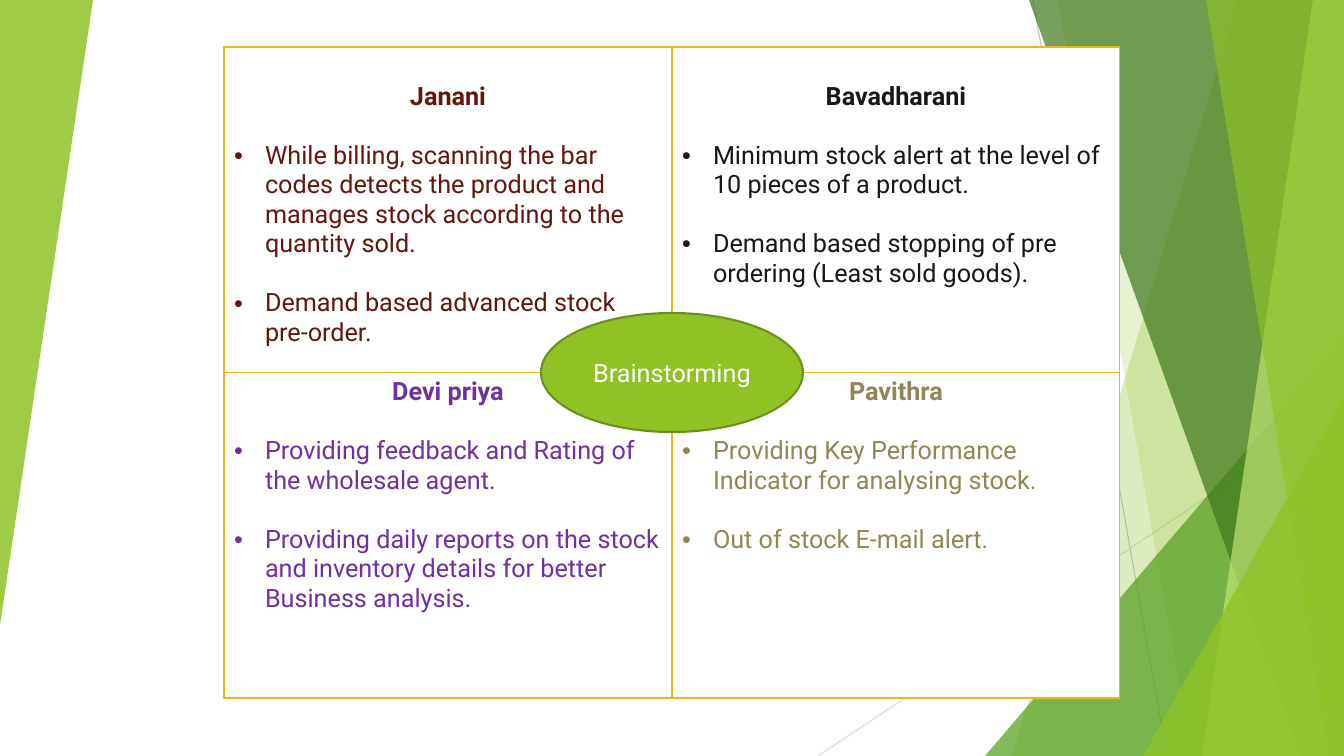
from lxml.etree import SubElement
from pptx import Presentation
from pptx.dml.color import RGBColor
from pptx.enum.shapes import MSO_CONNECTOR, MSO_SHAPE
from pptx.enum.text import MSO_ANCHOR, PP_ALIGN
from pptx.oxml.ns import qn
from pptx.util import Pt

SCALE = 914400 / 100.8  # EMU per pixel
WIDTH, HEIGHT = 1344, 756
COLORS = {
    "green": "90C226", "leaf": "54A021", "forest": "3F7819", "lime": "C0E474",
    "outline": "6B901C", "gold": "E6B91E", "gray": "BFBFBF", "light gray": "D9D9D9",
    "white": "FFFFFF", "maroon": "62170D", "black": "181818",
    "purple": "7030A0", "olive": "918655",
}


def px(*values):
    lengths = [round(value * SCALE) for value in values]
    return lengths if len(lengths) > 1 else lengths[0]


def add_text(paragraph, text, color, bold=False):
    run = paragraph.add_run()
    run.text = text
    for name, value in {"name": "Roboto", "size": Pt(18), "bold": bold}.items():
        setattr(run.font, name, value)
    run.font.color.rgb = RGBColor.from_string(COLORS[color])


presentation = Presentation()
presentation.slide_width, presentation.slide_height = px(WIDTH, HEIGHT)
slide = presentation.slides.add_slide(presentation.slide_layouts[6])
shapes = slide.shapes

# Thin background lines
for ends, color in [((1033, 0, 1167, 756), "gray"), ((1344, 406, 818, 756), "light gray")]:
    line = shapes.add_connector(MSO_CONNECTOR.STRAIGHT, *px(*ends))
    line.line.color.rgb = RGBColor.from_string(COLORS[color])
    line.line.width = Pt(0.75)
    SubElement(line._element.spPr, qn("a:effectLst"))

# Translucent facets: slanted panels (top x, bottom x) and triangles (box, rotation)
facets = [
    ("panel", (1238, 1012), "green", 30),
    ("panel", (1058, 1192), "green", 20),
    ("triangle", (985, 336, 359, 420, 0), "leaf", 72),
    ("panel", (1029, 1301), "forest", 70),
    ("panel", (1313, 1202), "lime", 70),
    ("panel", (1206, 1329), "green", 65),
    ("triangle", (1143, 396, 201, 360, 0), "green", 80),
    ("triangle", (0, 0, 93, 625, 180), "green", 85),
]
for kind, geometry, color, opacity in facets:
    if kind == "panel":
        top, bottom = geometry
        builder = shapes.build_freeform(top, 0, SCALE)
        builder.add_line_segments([(WIDTH, 0), (WIDTH, HEIGHT), (bottom, HEIGHT)])
        facet = builder.convert_to_shape()
    else:
        *box, rotation = geometry
        facet = shapes.add_shape(MSO_SHAPE.ISOSCELES_TRIANGLE, *px(*box))
        facet.adjustments[0] = 1
        facet.rotation = rotation
    facet.shadow.inherit = False
    facet.line.fill.background()
    facet.fill.solid()
    facet.fill.fore_color.rgb = RGBColor.from_string(COLORS[color])
    fill_color = facet._element.spPr.find(qn("a:solidFill"))[0]
    SubElement(fill_color, qn("a:alpha"), val=str(opacity * 1000))

# Idea table: one quadrant per person
quadrants = [
    [("Janani", "maroon",
      ["While billing, scanning the bar codes detects the product and manages stock "
       "according to the quantity sold.",
       "Demand based advanced stock pre-order."]),
     ("Bavadharani", "black",
      ["Minimum stock alert at the level of 10 pieces of a product.",
       "Demand based stopping of pre ordering (Least sold goods)."])],
    [("Devi priya", "purple",
      ["Providing feedback and Rating of the wholesale agent.",
       "Providing daily reports on the stock and inventory details for better "
       "Business analysis."]),
     ("Pavithra", "olive",
      ["Providing Key Performance Indicator for analysing stock.",
       "Out of stock E-mail alert."])],
]
table = shapes.add_table(2, 2, *px(224, 47, 896, 651)).table
table.first_row = table.horz_banding = False
for row, margin_top, people in zip(table.rows, (35, 5), quadrants):
    row.height = px(325.5)
    for cell, (person, color, ideas) in zip(row.cells, people):
        properties = cell._tc.get_or_add_tcPr()
        for side in ("a:lnL", "a:lnR", "a:lnT", "a:lnB"):
            border = SubElement(properties, qn(side), w=str(Pt(1)))
            border_fill = SubElement(border, qn("a:solidFill"))
            SubElement(border_fill, qn("a:srgbClr"), val=COLORS["gold"])
        cell.fill.solid()
        cell.fill.fore_color.rgb = RGBColor.from_string(COLORS["white"])
        cell.margin_top = px(margin_top)

        heading = cell.text_frame.paragraphs[0]
        heading.alignment = PP_ALIGN.CENTER
        add_text(heading, person, color, bold=True)
        for idea in ideas:
            paragraph = cell.text_frame.add_paragraph()
            paragraph.space_before = Pt(21)
            bullet = paragraph._p.get_or_add_pPr()
            bullet.set("marL", str(px(31)))
            bullet.set("indent", str(px(-31)))
            SubElement(bullet, qn("a:buFont"), typeface="Arial")
            SubElement(bullet, qn("a:buChar"), char="•")
            add_text(paragraph, idea, color)

# Central topic
topic = shapes.add_shape(MSO_SHAPE.OVAL, *px(541, 313, 262, 119))
topic.shadow.inherit = False
topic.fill.solid()
topic.fill.fore_color.rgb = RGBColor.from_string(COLORS["green"])
topic.line.color.rgb = RGBColor.from_string(COLORS["outline"])
topic.line.width = Pt(1.5)
topic.text_frame.vertical_anchor = MSO_ANCHOR.MIDDLE
topic_paragraph = topic.text_frame.paragraphs[0]
topic_paragraph.alignment = PP_ALIGN.CENTER
add_text(topic_paragraph, "Brainstorming", "white")

presentation.save("out.pptx")
